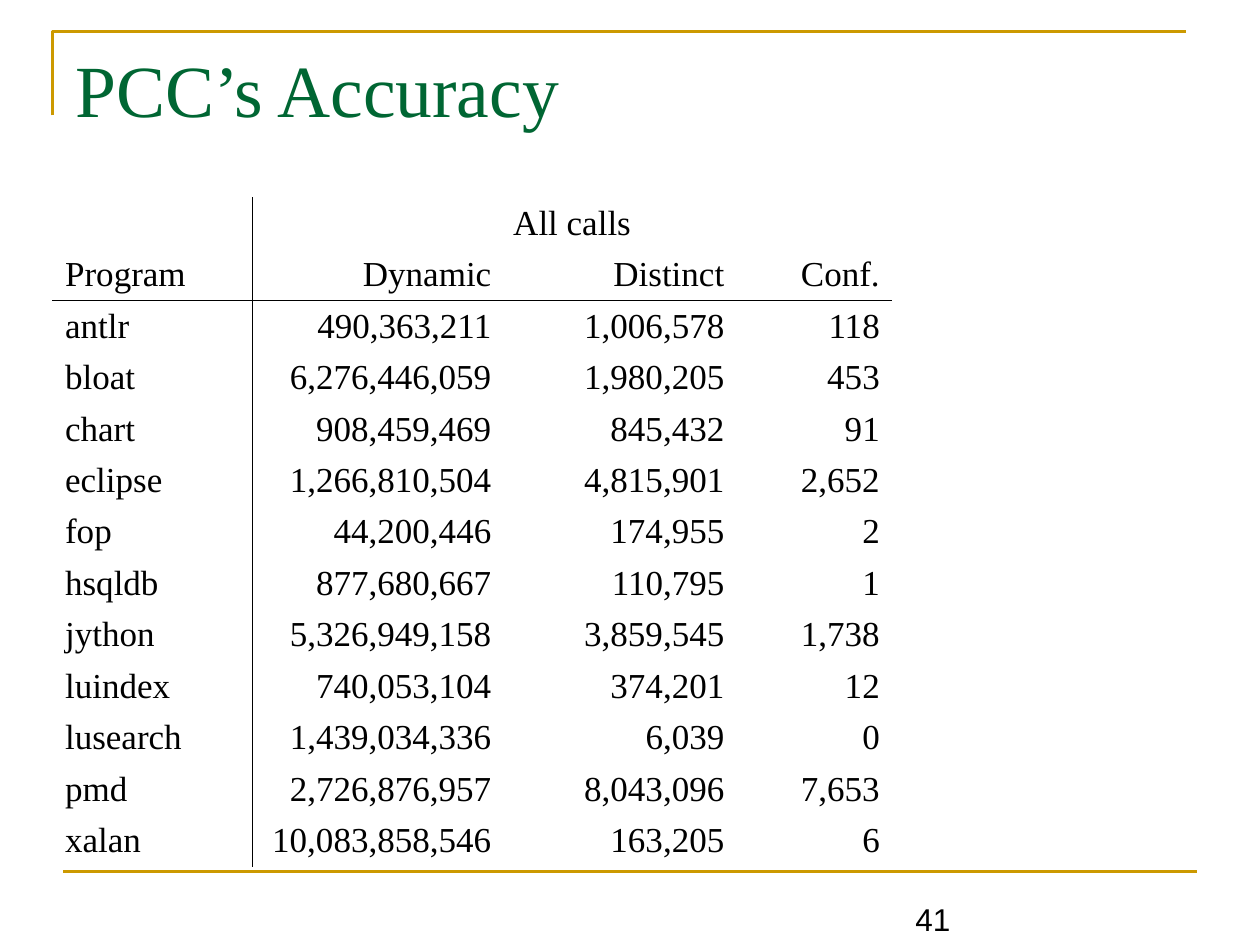
import pptx
import pptx.dml.color
import pptx.enum.shapes
import pptx.enum.text
import pptx.oxml.ns
import pptx.util
from lxml import etree

Pt = pptx.util.Pt
ALIGN = pptx.enum.text.PP_ALIGN
ANCHOR = pptx.enum.text.MSO_ANCHOR
qn = pptx.oxml.ns.qn

SERIF = "Times New Roman"
BLACK, GREEN, GOLD = "000000", "006633", "CC9900"
NO_STYLE = "{2D5ABB26-0587-4C30-8999-92F81FD0307C}"


def color(value):
    return pptx.dml.color.RGBColor.from_string(value)


def write(text_frame, text, size, font, text_color, alignment=ALIGN.LEFT):
    text_frame.text = text
    paragraph = text_frame.paragraphs[0]
    paragraph.alignment = alignment
    for run in paragraph.runs:
        run.font.size = Pt(size)
        run.font.name = font
        run.font.color.rgb = color(text_color)


presentation = pptx.Presentation()
presentation.slide_width = Pt(720)
presentation.slide_height = Pt(540)
slide = presentation.slides.add_slide(presentation.slide_layouts[6])

# Gold frame: a corner above the title and a rule below the table
builder = slide.shapes.build_freeform(Pt(30), Pt(66))
builder.add_line_segments([(Pt(30), Pt(18)), (Pt(678), Pt(18))], close=False)
corner = builder.convert_to_shape()
corner.shadow.inherit = False
corner.fill.background()

bottom_rule = slide.shapes.add_connector(
    pptx.enum.shapes.MSO_CONNECTOR.STRAIGHT, Pt(36), Pt(498), Pt(684), Pt(498))
etree.SubElement(bottom_rule._element.spPr, qn("a:effectLst"))

for shape in (corner, bottom_rule):
    shape.line.color.rgb = color(GOLD)
    shape.line.width = Pt(1.5)

title = slide.shapes.add_textbox(Pt(36), Pt(21.6), Pt(648), Pt(90))
title.text_frame.word_wrap = True
write(title.text_frame, "PCC’s Accuracy", 42, SERIF, GREEN)

# Accuracy table
rows = [
    ("", "All calls", "", ""),
    ("Program", "Dynamic", "Distinct", "Conf."),
    ("antlr", "490,363,211", "1,006,578", "118"),
    ("bloat", "6,276,446,059", "1,980,205", "453"),
    ("chart", "908,459,469", "845,432", "91"),
    ("eclipse", "1,266,810,504", "4,815,901", "2,652"),
    ("fop", "44,200,446", "174,955", "2"),
    ("hsqldb", "877,680,667", "110,795", "1"),
    ("jython", "5,326,949,158", "3,859,545", "1,738"),
    ("luindex", "740,053,104", "374,201", "12"),
    ("lusearch", "1,439,034,336", "6,039", "0"),
    ("pmd", "2,726,876,957", "8,043,096", "7,653"),
    ("xalan", "10,083,858,546", "163,205", "6"),
]
column_widths = [114, 144, 133.2, 88.8]
row_height = 29.43

frame = slide.shapes.add_table(
    len(rows), len(column_widths), Pt(30), Pt(112.8),
    Pt(sum(column_widths)), Pt(row_height * len(rows)))
table = frame.table
table.first_row = table.horz_banding = False
table._tbl.tblPr.find(qn("a:tableStyleId")).text = NO_STYLE
for column, width in zip(table.columns, column_widths):
    column.width = Pt(width)
for row in table.rows:
    row.height = Pt(row_height)
table.cell(0, 1).merge(table.cell(0, 3))

for row_index, values in enumerate(rows):
    for column_index, value in enumerate(values):
        cell = table.cell(row_index, column_index)
        borders = {
            "a:lnL": column_index == 1,
            "a:lnR": column_index == 0,
            "a:lnT": row_index == 2,
            "a:lnB": row_index == 1,
        }
        properties = cell._tc.get_or_add_tcPr()
        for tag, visible in borders.items():
            border = etree.SubElement(properties, qn(tag), w=str(Pt(0.45)))
            if visible:
                fill = etree.SubElement(border, qn("a:solidFill"))
                etree.SubElement(fill, qn("a:srgbClr"), val=BLACK)
            else:
                etree.SubElement(border, qn("a:noFill"))
        cell.fill.background()
        cell.vertical_anchor = ANCHOR.BOTTOM
        cell.margin_top = Pt(1)
        if value:
            if row_index == 0:
                alignment = ALIGN.CENTER
            else:
                alignment = ALIGN.RIGHT if column_index else ALIGN.LEFT
            write(cell.text_frame, value, 20, SERIF, BLACK, alignment)

page_number = slide.shapes.add_textbox(Pt(516), Pt(503.25), Pt(168), Pt(36))
page_number.text_frame.word_wrap = True
page_number.text_frame.vertical_anchor = ANCHOR.BOTTOM
write(page_number.text_frame, "41", 18, "Arial", BLACK)

presentation.save("out.pptx")
